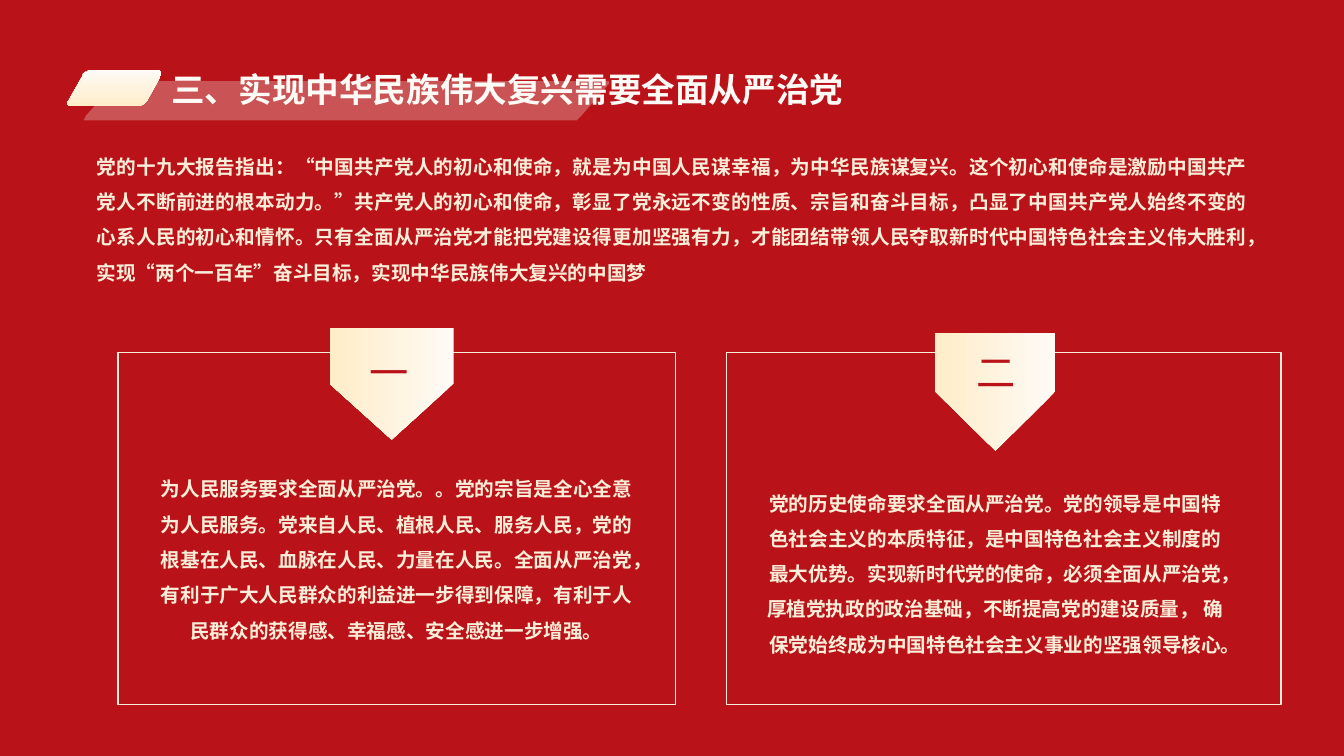
from lxml import etree
from pptx import Presentation
from pptx.dml.color import RGBColor
from pptx.enum.shapes import MSO_SHAPE
from pptx.enum.text import MSO_ANCHOR, MSO_AUTO_SIZE, PP_ALIGN
from pptx.oxml.ns import qn
from pptx.util import Pt

RED = RGBColor(0xBA, 0x12, 0x19)
CREAM = RGBColor(0xFA, 0xEE, 0xD8)
IVORY = RGBColor(0xFE, 0xFA, 0xF6)
GOLD = RGBColor(0xFF, 0xED, 0xC8)
GREY = RGBColor(0xEE, 0xEC, 0xE1)
FONT = "Noto Sans CJK SC"

RECTANGLE = MSO_SHAPE.RECTANGLE
PENTAGON = MSO_SHAPE.PENTAGON
CENTER = PP_ALIGN.CENTER
JUSTIFY = PP_ALIGN.JUSTIFY
TOP = MSO_ANCHOR.TOP
NO_AUTOFIT = MSO_AUTO_SIZE.NONE

TITLE = "三、实现中华民族伟大复兴需要全面从严治党"
INTRODUCTION = (
    "党的十九大报告指出：“中国共产党人的初心和使命，就是为中国人民谋幸福，为中华民族谋复兴。"
    "这个初心和使命是激励中国共产党人不断前进的根本动力。”共产党人的初心和使命，"
    "彰显了党永远不变的性质、宗旨和奋斗目标，凸显了中国共产党人始终不变的心系人民的初心和情怀。"
    "只有全面从严治党才能把党建设得更加坚强有力，才能团结带领人民夺取新时代中国特色社会主义伟大胜利，"
    "实现“两个一百年”奋斗目标，实现中华民族伟大复兴的中国梦"
)
SERVICE = (
    "为人民服务要求全面从严治党。。党的宗旨是全心全意为人民服务。"
    "党来自人民、植根人民、服务人民，党的根基在人民、血脉在人民、力量在人民。"
    "全面从严治党，有利于广大人民群众的利益进一步得到保障，"
    "有利于人民群众的获得感、幸福感、安全感进一步增强。"
)
MISSION = (
    "党的历史使命要求全面从严治党。党的领导是中国特色社会主义的本质特征，"
    "是中国特色社会主义制度的最大优势。实现新时代党的使命，必须全面从严治党，"
    "厚植党执政的政治基础，不断提高党的建设质量， 确保党始终成为中国特色社会主义事业的坚强领导核心。"
)

# Each card: frame, text box, unrotated badge and numeral box as left, top, width, height
CARDS = [
    ("一", SERVICE, (84.2, 252, 398.2, 251.3), (112.3, 332.6, 342, 127.4),
     (239.8, 229.7, 79.9, 88.6), (244.8, 241.9, 65.5, 44.6)),
    ("二", MISSION, (519.1, 252, 396, 251.3), (546.5, 342.7, 329, 127.4),
     (668.9, 236.9, 84.2, 85.7), (679.7, 241.9, 63.4, 44.6)),
]


def points(box):
    return [Pt(length) for length in box]


def fill_gradient(shape):
    shape.fill.gradient()
    shape.fill.gradient_angle = 270
    for stop, color in zip(shape.fill.gradient_stops, (IVORY, GOLD)):
        stop.color.rgb = color


def write_text(shape, text, size, color, alignment, bold=True, spacing=1.0, inset=(0, 0)):
    frame = shape.text_frame
    frame.text = text
    frame.word_wrap = True
    frame.auto_size = NO_AUTOFIT
    frame.vertical_anchor = TOP
    frame.margin_left = frame.margin_right = Pt(inset[0])
    frame.margin_top = frame.margin_bottom = Pt(inset[1])
    paragraph = frame.paragraphs[0]
    paragraph.alignment = alignment
    paragraph.line_spacing = spacing
    font = paragraph.runs[0].font
    font.size = Pt(size)
    font.bold = bold
    font.color.rgb = color
    font.name = FONT
    # Chinese characters take the East Asian typeface
    properties = paragraph.runs[0].font.fill and paragraph.runs[0]._r.get_or_add_rPr()
    etree.SubElement(properties, qn("a:ea"), typeface=FONT)


def add_text(slide, box, text, size, color, alignment, **options):
    text_box = slide.shapes.add_textbox(*points(box))
    write_text(text_box, text, size, color, alignment, **options)


def toward(start, end, distance):
    length = ((end[0] - start[0]) ** 2 + (end[1] - start[1]) ** 2) ** 0.5
    return tuple(a + (b - a) * distance / length for a, b in zip(start, end))


def add_slanted_bar(slide, left, top, width, height, slant, radius=4, steps=6):
    """Draw a parallelogram with rounded corners."""
    corners = [(left + slant, top), (left + slant + width, top),
               (left + width, top + height), (left, top + height)]
    outline = []
    for index, corner in enumerate(corners):
        start = toward(corner, corners[index - 1], radius)
        end = toward(corner, corners[(index + 1) % 4], radius)
        for step in range(steps + 1):
            t = step / steps
            outline.append(tuple((1 - t) ** 2 * a + 2 * t * (1 - t) * b + t ** 2 * c
                                 for a, b, c in zip(start, corner, end)))
    builder = slide.shapes.build_freeform(*outline[0], scale=Pt(1))
    builder.add_line_segments(outline[1:], close=True)
    bar = builder.convert_to_shape()
    bar.shadow.inherit = False
    bar.line.fill.background()
    return bar


def add_heading(slide):
    shade = add_slanted_bar(slide, 58.7, 57.6, 353.5, 28.8, 24.5)
    shade.fill.solid()
    shade.fill.fore_color.rgb = GREY
    color = shade.fill._xPr.find(qn("a:solidFill"))[0]
    etree.SubElement(color, qn("a:alpha"), val="30000")
    tab = add_slanted_bar(slide, 47, 50.4, 55.8, 25.2, 13.7)
    fill_gradient(tab)

    title = slide.shapes.title
    title.left, title.top, title.width, title.height = points((115.2, 45.4, 679, 36))
    write_text(title, TITLE, 24, IVORY, JUSTIFY, inset=(7.2, 3.6))
    tab.element.addnext(title.element)  # title in front of the bars


def add_card(slide, numeral, text, frame_box, text_box, badge_box, numeral_box):
    frame = slide.shapes.add_shape(RECTANGLE, *points(frame_box))
    frame.shadow.inherit = False
    frame.fill.background()
    frame.line.color.rgb = CREAM
    frame.line.width = Pt(1)
    add_text(slide, text_box, text, 14, CREAM, CENTER, spacing=1.5)

    badge = slide.shapes.add_shape(PENTAGON, *points(badge_box))
    badge.shadow.inherit = False
    badge.rotation = 90
    badge.line.fill.background()
    fill_gradient(badge)
    add_text(slide, numeral_box, numeral, 28, RED, CENTER,
             bold=False, spacing=1.1, inset=(7.2, 3.6))


def main():
    presentation = Presentation()
    presentation.slide_width, presentation.slide_height = Pt(960), Pt(540)
    slide = presentation.slides.add_slide(presentation.slide_layouts[5])
    slide.background.fill.solid()
    slide.background.fill.fore_color.rgb = RED

    add_heading(slide)
    add_text(slide, (69.1, 102.2, 822.2, 101.5), INTRODUCTION, 14, CREAM, JUSTIFY, spacing=1.5)
    for card in CARDS:
        add_card(slide, *card)
    presentation.save("out.pptx")


if __name__ == "__main__":
    main()
